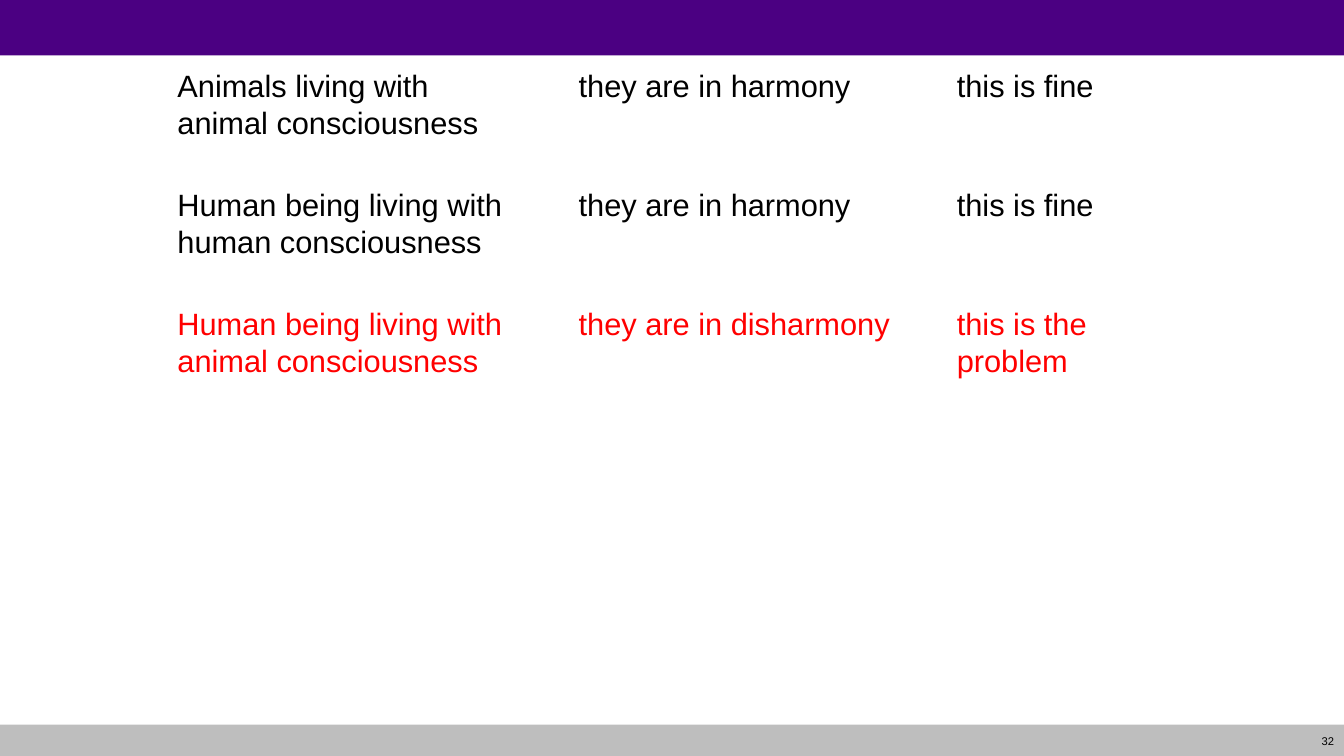
"""Build the slide comparing human and animal consciousness."""
import pptx
import pptx.util
import pptx.dml.color
import pptx.enum.shapes
import pptx.enum.text

Inches, Pt = pptx.util.Inches, pptx.util.Pt
RGBColor = pptx.dml.color.RGBColor

PURPLE = RGBColor(0x4B, 0x00, 0x82)
GREY = RGBColor(0xBE, 0xBE, 0xBE)
WHITE = RGBColor(0xFF, 0xFF, 0xFF)
BLACK = RGBColor(0x00, 0x00, 0x00)
RED = RGBColor(0xFF, 0x00, 0x00)

ROWS = [
    (BLACK, 1.18, ["Animals living with\nanimal consciousness",
                   "they are in harmony", "this is fine"]),
    (BLACK, 1.18, ["Human being living with human consciousness",
                   "they are in harmony", "this is fine"]),
    (RED, 0.93, ["Human being living with animal consciousness",
                 "they are in disharmony", "this is the problem"]),
]
WIDTHS = [3.98, 3.75, 2.25]
BANDS = [(0, 0.55, PURPLE), (7.19, 0.33, GREY)]
NUMBER = "32"


def style(par, size, color):
    """Set the font of one paragraph."""
    par.font.name = "Arial"
    par.font.size = Pt(size)
    par.font.color.rgb = color


def add_bands(slide):
    """Draw the top and bottom bands."""
    for top, height, color in BANDS:
        band = slide.shapes.add_shape(
            pptx.enum.shapes.MSO_SHAPE.RECTANGLE,
            0, Inches(top), Inches(13.33), Inches(height))
        band.shadow.inherit = False
        band.fill.solid()
        band.fill.fore_color.rgb = color
        band.line.fill.background()


def add_number(slide):
    """Write the page number in the bottom band."""
    box = slide.shapes.add_textbox(
        Inches(12.71), Inches(7.19), Inches(0.62), Inches(0.32))
    frame = box.text_frame
    frame.word_wrap = True
    frame.vertical_anchor = pptx.enum.text.MSO_ANCHOR.MIDDLE
    frame.text = NUMBER
    par = frame.paragraphs[0]
    par.alignment = pptx.enum.text.PP_ALIGN.RIGHT
    style(par, 8, BLACK)


def add_grid(slide):
    """Fill the table of cases."""
    table = slide.shapes.add_table(
        len(ROWS), len(WIDTHS), Inches(1.68), Inches(0.67),
        Inches(sum(WIDTHS)), Inches(sum(row[1] for row in ROWS))).table
    table.first_row = False
    table.horz_banding = False
    for col, width in zip(table.columns, WIDTHS):
        col.width = Inches(width)
    for row, (color, height, texts) in zip(table.rows, ROWS):
        row.height = Inches(height)
        for cell, text in zip(row.cells, texts):
            cell.fill.solid()
            cell.fill.fore_color.rgb = WHITE
            cell.margin_left = cell.margin_right = Inches(0.08)
            cell.margin_top = cell.margin_bottom = 0
            cell.text = text
            for par in cell.text_frame.paragraphs:
                par.line_spacing = 1.07
                style(par, 22, color)


def main():
    """Build and save the deck."""
    deck = pptx.Presentation()
    deck.slide_width = Inches(13.33)
    deck.slide_height = Inches(7.5)
    slide = deck.slides.add_slide(deck.slide_layouts[6])
    add_bands(slide)
    add_number(slide)
    add_grid(slide)
    deck.save("out.pptx")


if __name__ == "__main__":
    main()
